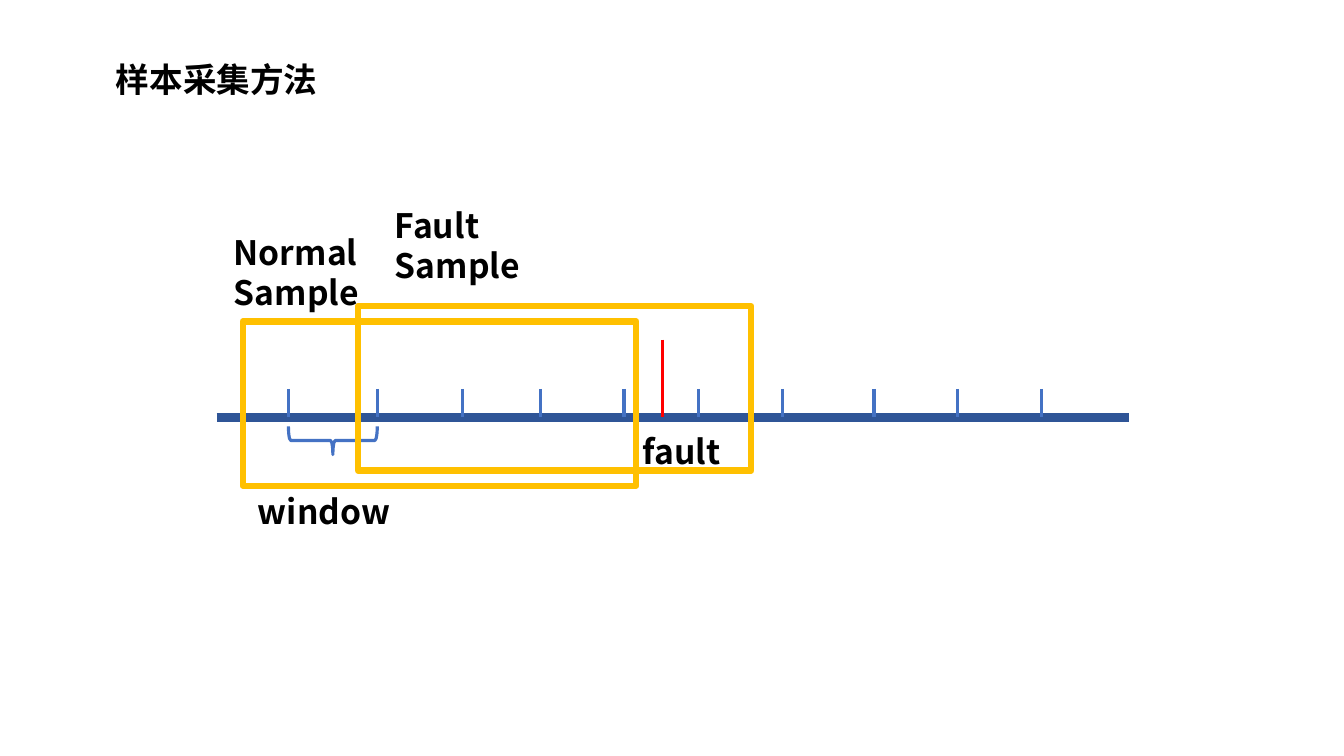
from lxml.etree import SubElement
from pptx import Presentation
from pptx.dml.color import RGBColor
from pptx.enum.shapes import MSO_CONNECTOR, MSO_SHAPE
from pptx.enum.text import MSO_AUTO_SIZE
from pptx.oxml.ns import qn
from pptx.util import Cm, Pt

COLORS = {
    "text": "000000",
    "axis": "2F5597",
    "tick": "4472C4",
    "fault": "FF0000",
    "sample": "FFC000",
}


class Diagram:
    font_name = "Noto Sans CJK SC"
    font_size = Pt(24)

    def __init__(self, page):
        self.page = page

    def stroke(self, line, color, width):
        line.color.rgb = RGBColor.from_string(COLORS[color])
        line.width = Pt(width)

    def label(self, left, top, width, height, *rows):
        box = self.page.shapes.add_textbox(Cm(left), Cm(top), Cm(width), Cm(height))
        frame = box.text_frame
        frame.word_wrap = True
        frame.auto_size = MSO_AUTO_SIZE.SHAPE_TO_FIT_TEXT
        frame.text = "\n".join(rows)
        for para in frame.paragraphs:
            para.font.size = self.font_size
            para.font.bold = True
            para.font.color.rgb = RGBColor.from_string(COLORS["text"])
            para.font.name = self.font_name
            defaults = para._p.get_or_add_pPr().get_or_add_defRPr()
            SubElement(defaults, qn("a:ea")).set("typeface", self.font_name)

    def line(self, left, top, right, bottom, color, width=2.25):
        connector = self.page.shapes.add_connector(
            MSO_CONNECTOR.STRAIGHT, Cm(left), Cm(top), Cm(right), Cm(bottom)
        )
        self.stroke(connector.line, color, width)
        SubElement(connector._element.spPr, qn("a:effectLst"))

    def outline(self, kind, left, top, width, height, color, weight, rotation=0):
        shape = self.page.shapes.add_shape(
            kind, Cm(left), Cm(top), Cm(width), Cm(height)
        )
        shape.shadow.inherit = False
        shape.fill.background()
        shape.rotation = rotation
        self.stroke(shape.line, color, weight)

    def sample_window(self, left, top):
        self.outline(MSO_SHAPE.RECTANGLE, left, top, 9.91, 4.14, "sample", 4.5)


def main():
    deck = Presentation()
    deck.slide_width = Cm(33.86)
    deck.slide_height = Cm(19.05)
    diagram = Diagram(deck.slides.add_slide(deck.slide_layouts[6]))

    axis_y = 10.52
    tick_positions = (
        7.26, 9.5, 11.66, 13.61, 15.72, 17.6, 19.71, 22.02, 24.13, 26.24
    )

    diagram.label(2.67, 1.35, 6.05, 1.27, "样本采集方法")
    diagram.line(5.46, axis_y, 28.45, axis_y, "axis", 6)
    for tick_x in tick_positions:
        diagram.line(tick_x, 9.8, tick_x, axis_y, "tick")
    diagram.line(16.69, 8.56, 16.69, axis_y, "fault")
    diagram.outline(
        MSO_SHAPE.RIGHT_BRACE, 8.03, 9.98, 0.71, 2.24, "tick", 2.25, rotation=90
    )
    diagram.label(6.25, 12.24, 3.84, 1.27, "window")
    diagram.label(15.95, 10.74, 3.84, 1.27, "fault")
    diagram.sample_window(6.12, 8.1)
    diagram.label(5.64, 5.72, 3.84, 2.31, "Normal", "Sample")
    diagram.sample_window(9.02, 7.72)
    diagram.label(9.7, 5.03, 5.44, 2.31, "Fault", "Sample")

    deck.save("out.pptx")


if __name__ == "__main__":
    main()
